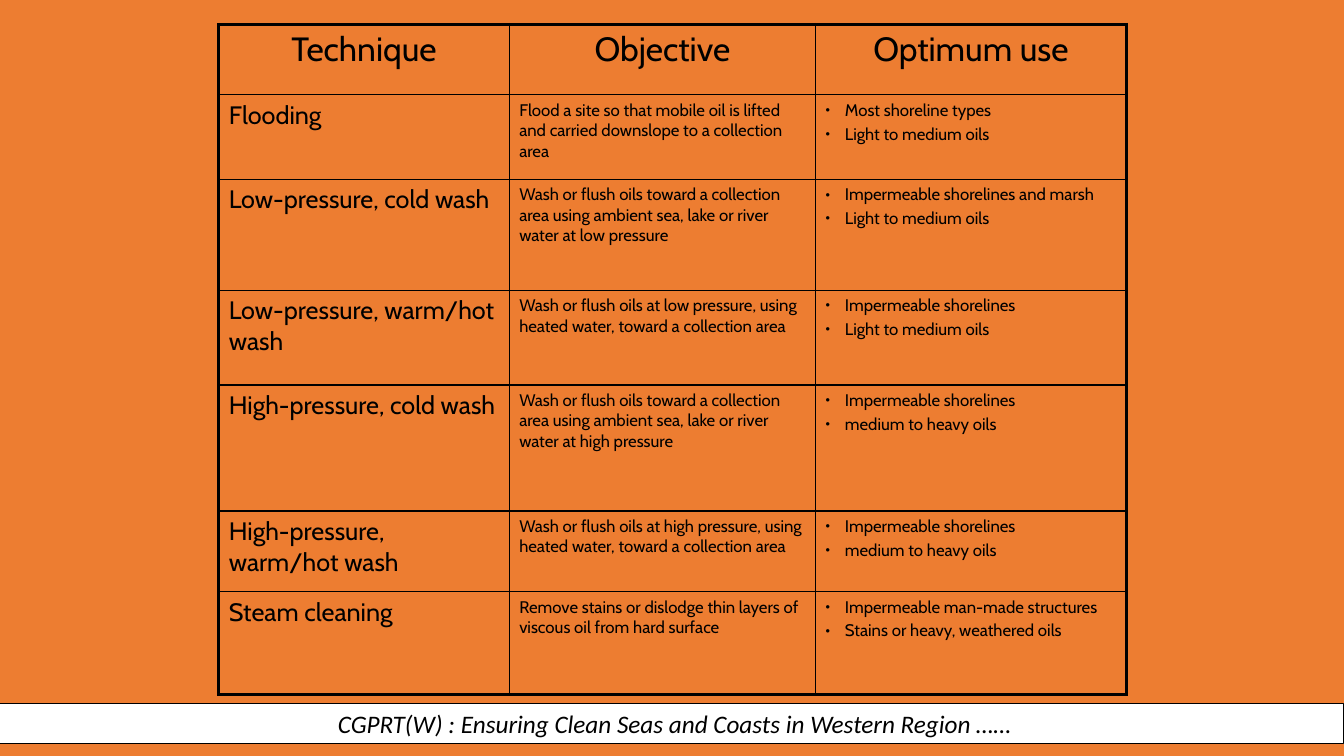
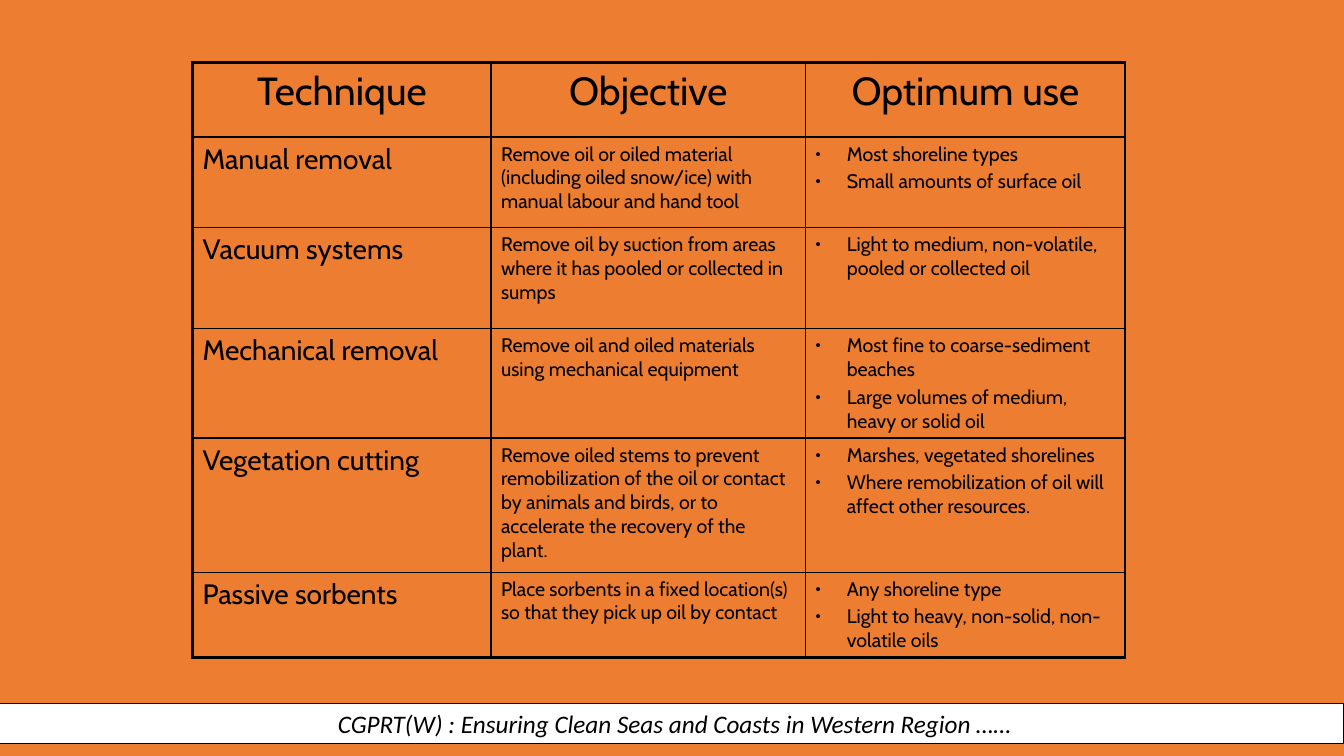
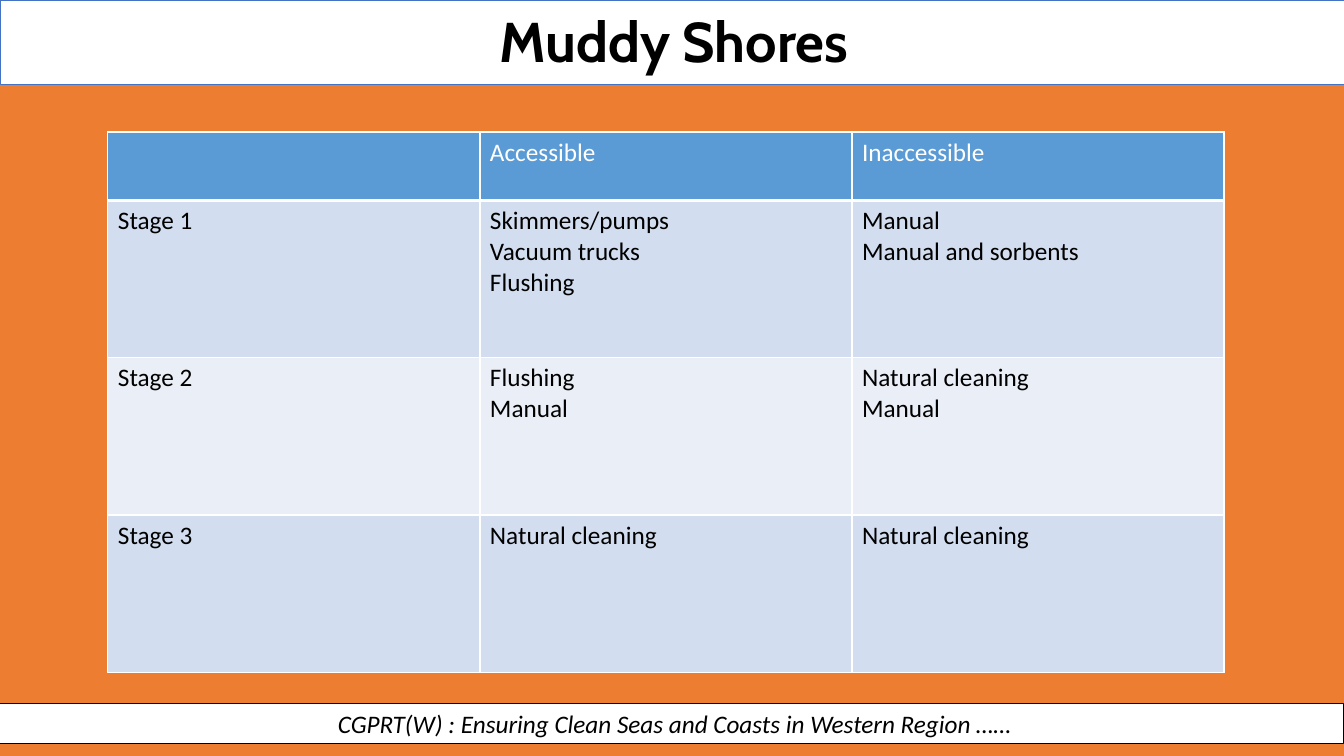
"""Build three slides of shoreline clean-up tables with a shared footer band."""
from lxml import etree
from pptx import Presentation
from pptx.dml.color import RGBColor
from pptx.enum.shapes import MSO_SHAPE
from pptx.enum.text import MSO_ANCHOR, MSO_AUTO_SIZE, PP_ALIGN
from pptx.oxml.ns import qn
from pptx.util import Inches, Pt

RECTANGLE = MSO_SHAPE.RECTANGLE
MIDDLE = MSO_ANCHOR.MIDDLE
NO_AUTOFIT = MSO_AUTO_SIZE.NONE
LEFT, CENTER = PP_ALIGN.LEFT, PP_ALIGN.CENTER

ORANGE = RGBColor(0xED, 0x7D, 0x31)
WHITE = RGBColor(0xFF, 0xFF, 0xFF)
BLACK = RGBColor(0x00, 0x00, 0x00)
BAND_LINE = RGBColor(0x44, 0x72, 0xC4)
HEADER_BLUE = RGBColor(0x5B, 0x9B, 0xD5)
STRIPES = [RGBColor(0xD2, 0xDE, 0xEF), RGBColor(0xEA, 0xEF, 0xF7)]

HEADING_FONT, BODY_FONT = "Cabin", "Calibri"
SLIDE_WIDTH, SLIDE_HEIGHT = 13.33, 7.5
TITLE_ONLY, BLANK = 5, 6
THICK, THIN, HEADER_RULE = 2.25, 1, 3

FOOTER = " CGPRT(W) : Ensuring Clean Seas and Coasts in Western Region ……"
TITLE = "Muddy Shores"
HEADINGS = ("Technique", "Objective", "Optimum use")

WASHING = {
    "at": (2.17, 0.24),
    "columns": [2.88, 3.04, 3.08],
    "heights": [0.7, 0.84, 1.1, 0.94, 1.25, 0.8, 1.02],
    "sizes": {"heading": 24, "name": 18, "body": 12},
    "indent": 0.19,
    "rows": [
        ("Flooding",
         "Flood a site so that mobile oil is lifted and carried downslope to a collection area",
         ["Most shoreline types", "Light to medium oils"]),
        ("Low-pressure, cold wash",
         "Wash or flush oils toward a collection area using ambient sea, lake or river water at low pressure",
         ["Impermeable shorelines and marsh", "Light to medium oils"]),
        ("Low-pressure, warm/hot wash",
         "Wash or flush oils at low pressure, using heated water, toward a collection area",
         ["Impermeable shorelines", "Light to medium oils"]),
        ("High-pressure, cold wash",
         "Wash or flush oils toward a collection area using ambient sea, lake or river water at high pressure",
         ["Impermeable shorelines", "medium to heavy oils"]),
        ("High-pressure, warm/hot wash",
         "Wash or flush oils at high pressure, using heated water, toward a collection area",
         ["Impermeable shorelines", "medium to heavy oils"]),
        ("Steam cleaning",
         "Remove stains or dislodge thin layers of viscous oil from hard surface",
         ["Impermeable man-made structures", "Stains or heavy, weathered oils"]),
    ],
}

REMOVAL = {
    "at": (1.91, 0.62),
    "columns": [2.96, 3.12, 3.17],
    "heights": [0.74, 0.9, 1, 1.08, 1.33, 0.85],
    "sizes": {"heading": 28, "name": 20, "body": 14},
    "indent": 0.31,
    "rows": [
        ("Manual removal",
         "Remove oil or oiled material (including oiled snow/ice) with manual labour and hand tool",
         ["Most shoreline types", "Small amounts of surface oil"]),
        ("Vacuum systems",
         "Remove oil by suction from areas where it has pooled or collected in sumps",
         ["Light to medium, non-volatile, pooled or collected oil"]),
        ("Mechanical removal",
         "Remove oil and oiled materials using mechanical equipment",
         ["Most fine to coarse-sediment beaches", "Large volumes of medium, heavy or solid oil"]),
        ("Vegetation cutting",
         "Remove oiled stems to prevent remobilization of the oil or contact by animals and birds, "
         "or to accelerate the recovery of the plant.",
         ["Marshes, vegetated shorelines", "Where remobilization of oil will affect other resources."]),
        ("Passive sorbents",
         "Place sorbents in a fixed location(s) so that they pick up oil by contact",
         ["Any shoreline type", "Light to heavy, non-solid, non-volatile oils"]),
    ],
}

STAGES = {
    "at": (1.07, 1.31),
    "columns": [3.69] * 3,
    "heights": [0.68] + [1.56] * 3,
    "rows": [
        ([], ["Accessible"], ["Inaccessible"]),
        (["Stage 1"], ["Skimmers/pumps", "Vacuum trucks", "Flushing"], ["Manual", "Manual and sorbents"]),
        (["Stage 2"], ["Flushing", "Manual"], ["Natural cleaning", "Manual"]),
        (["Stage 3"], ["Natural cleaning"], ["Natural cleaning"]),
    ],
}


def write(frame, lines, font=BODY_FONT, size=18, color=BLACK, bold=False, italic=False,
          align=LEFT, indent=None, gap=0, line_spacing=None):
    """Fill a text frame with one formatted paragraph per line."""
    for index, line in enumerate(lines):
        para = frame.add_paragraph() if index else frame.paragraphs[0]
        if indent:
            add_bullet(para, indent)
        para.alignment = align
        para.space_before = Pt(gap if index else 0)
        if line_spacing:
            para.line_spacing = line_spacing
        span = para.add_run()
        span.text = line
        span.font.name, span.font.size = font, Pt(size)
        span.font.bold, span.font.italic = bold, italic
        span.font.color.rgb = color


def add_bullet(para, indent):
    """Give a paragraph a hanging round bullet."""
    properties = para._p.get_or_add_pPr()
    properties.set("marL", str(Inches(indent)))
    properties.set("indent", str(-Inches(indent)))
    etree.SubElement(properties, qn("a:buSzPct"), val="75000")
    etree.SubElement(properties, qn("a:buFont"), typeface="Arial")
    etree.SubElement(properties, qn("a:buChar"), char="•")


def set_borders(cell, color, left, right, top, bottom):
    """Draw the four borders of a cell, with widths in points."""
    properties = cell._tc.get_or_add_tcPr()
    for side, width in zip("LRTB", (left, right, top, bottom)):
        line = etree.SubElement(properties, qn(f"a:ln{side}"), w=str(Pt(width)))
        fill = etree.SubElement(line, qn("a:solidFill"))
        etree.SubElement(fill, qn("a:srgbClr"), val=str(color))


def add_band(page, top, height, line_color, line_width):
    """Add a white band across the slide."""
    band = page.shapes.add_shape(RECTANGLE, 0, Inches(top), Inches(SLIDE_WIDTH), Inches(height))
    band.shadow.inherit = False
    band.fill.solid()
    band.fill.fore_color.rgb = WHITE
    band.line.color.rgb = line_color
    band.line.width = Pt(line_width)
    return band


def add_page(deck, layout):
    """Add a slide with the shared footer band."""
    page = deck.slides.add_slide(deck.slide_layouts[layout])
    footer = add_band(page, 6.98, 0.4, BLACK, 0.75)
    footer.text_frame.vertical_anchor = MIDDLE
    write(footer.text_frame, [FOOTER], italic=True, align=CENTER)
    return page


def add_grid(page, data):
    """Add a plain table with the given column widths and row heights."""
    left, top = data["at"]
    columns, heights = data["columns"], data["heights"]
    table = page.shapes.add_table(
        len(heights), len(columns), Inches(left), Inches(top),
        Inches(sum(columns)), Inches(sum(heights))).table
    table.first_row = table.horz_banding = False
    for column, width in zip(table.columns, columns):
        column.width = Inches(width)
    for row, height in zip(table.rows, heights):
        row.height = Inches(height)
    return table


def add_technique_table(page, data):
    """Add a table of techniques, objectives and bulleted uses."""
    table = add_grid(page, data)
    sizes = data["sizes"]
    heading = {"size": sizes["heading"], "align": CENTER}
    formats = [
        {"size": sizes["name"]},
        {"size": sizes["body"]},
        {"size": sizes["body"], "indent": data["indent"], "gap": sizes["body"] * 0.2},
    ]
    last_row, last_column = len(data["rows"]), len(formats) - 1
    for row, texts in enumerate([HEADINGS] + data["rows"]):
        for column, text in enumerate(texts):
            cell = table.cell(row, column)
            set_borders(cell, BLACK,
                        THICK if column == 0 else THIN,
                        THICK if column == last_column else THIN,
                        THICK if row == 0 else THIN,
                        THICK if row == last_row else THIN)
            cell.fill.background()
            lines = [text] if isinstance(text, str) else text
            write(cell.text_frame, lines, font=HEADING_FONT,
                  **(formats[column] if row else heading))


def add_stage_table(page, data):
    """Add the striped table of clean-up stages."""
    table = add_grid(page, data)
    for row, texts in enumerate(data["rows"]):
        for column, lines in enumerate(texts):
            cell = table.cell(row, column)
            set_borders(cell, WHITE, THIN, THIN, THIN, THIN if row else HEADER_RULE)
            cell.fill.solid()
            cell.fill.fore_color.rgb = STRIPES[(row - 1) % 2] if row else HEADER_BLUE
            write(cell.text_frame, lines, color=BLACK if row else WHITE)


def add_title(page, text):
    """Format the title and set a white band behind it."""
    title = page.shapes.title
    title.left, title.top = Inches(0.5), Inches(0.14)
    title.width, title.height = Inches(12.37), Inches(0.61)
    frame = title.text_frame
    frame.auto_size = NO_AUTOFIT
    frame.vertical_anchor = MIDDLE
    write(frame, [text], font=HEADING_FONT, size=40, bold=True, align=CENTER, line_spacing=0.9)
    band = add_band(page, 0, 0.84, BAND_LINE, 0.5)
    title.element.addprevious(band.element)


def main():
    """Build and save the deck."""
    deck = Presentation()
    deck.slide_width, deck.slide_height = Inches(SLIDE_WIDTH), Inches(SLIDE_HEIGHT)
    background = deck.slide_master.background.fill
    background.solid()
    background.fore_color.rgb = ORANGE
    for data in (WASHING, REMOVAL):
        add_technique_table(add_page(deck, BLANK), data)
    page = add_page(deck, TITLE_ONLY)
    add_title(page, TITLE)
    add_stage_table(page, STAGES)
    deck.save("out.pptx")


if __name__ == "__main__":
    main()
